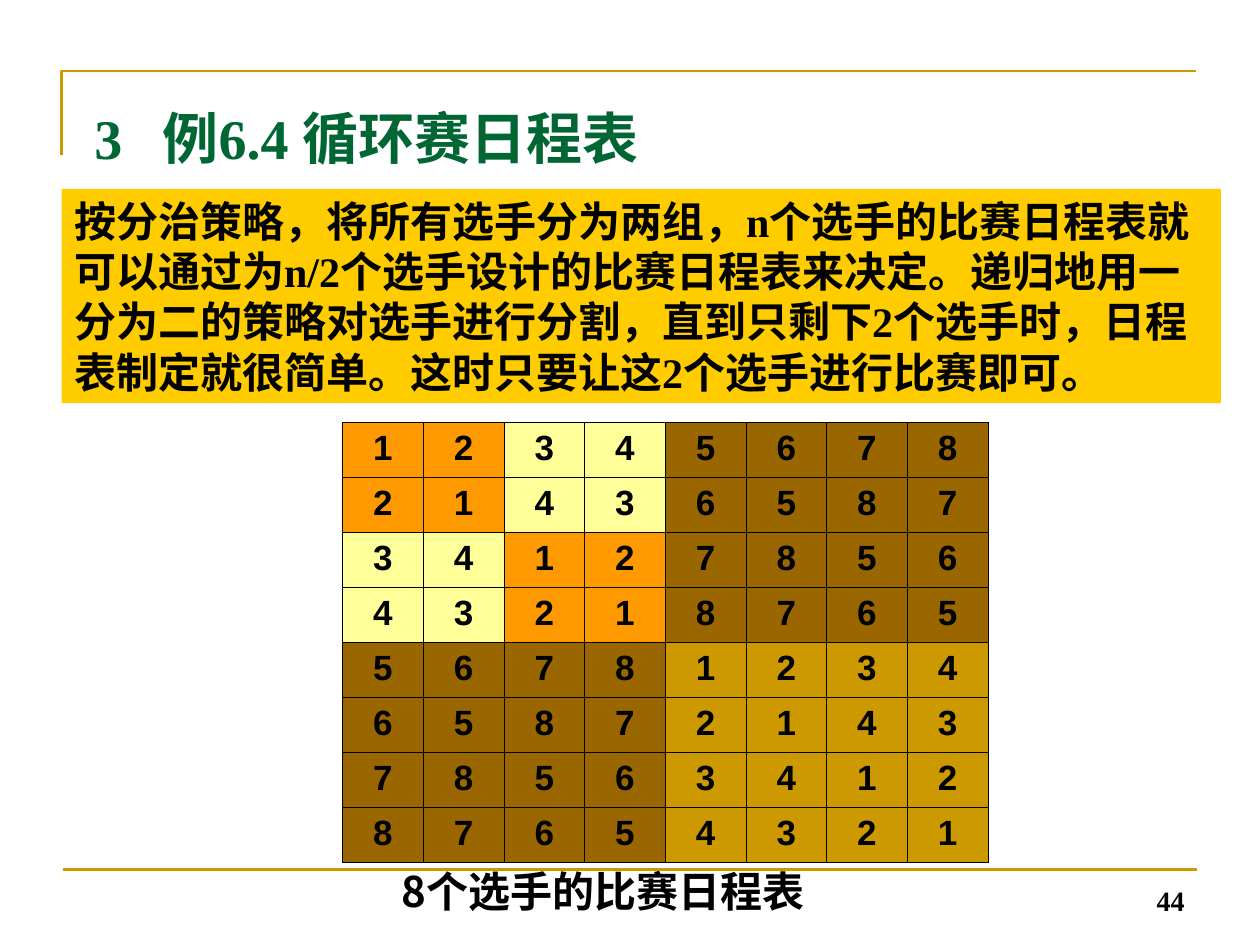
from dataclasses import dataclass

from lxml.etree import SubElement
from pptx import Presentation
from pptx.dml.color import RGBColor
from pptx.enum.shapes import MSO_CONNECTOR, MSO_SHAPE
from pptx.enum.text import MSO_ANCHOR, PP_ALIGN
from pptx.oxml.ns import qn
from pptx.util import Pt

SERIF, SANS, CHINESE = "Times New Roman", "Arial", "Noto Sans CJK SC"
BLACK, GREEN, GOLD, YELLOW = "000000", "006633", "CC9900", "FFCC00"
ORANGE, CREAM, BROWN = "FF9900", "FFFF99", "996600"
PLAYERS = 8
COLUMN_WIDTH, ROW_HEIGHT = 46.1, 31.43


@dataclass
class TextBlock:
    text: str
    left: float
    top: float
    width: float
    height: float
    size: float
    font: str = SERIF
    color: str = BLACK
    fill: str | None = None
    align: PP_ALIGN = PP_ALIGN.LEFT
    anchor: MSO_ANCHOR = MSO_ANCHOR.TOP
    tab: float | None = None


def rgb(value: str) -> RGBColor:
    return RGBColor.from_string(value)


def style_paragraph(paragraph, font: str, size: float, color: str, align: PP_ALIGN) -> None:
    paragraph.alignment = align
    paragraph.font.name = font
    paragraph.font.size = Pt(size)
    paragraph.font.bold = True
    paragraph.font.color.rgb = rgb(color)
    # East Asian characters take their own typeface
    for run in paragraph.runs:
        SubElement(run._r.get_or_add_rPr(), qn("a:ea"), typeface=CHINESE)


def add_text(slide, block: TextBlock) -> None:
    place = [Pt(value) for value in (block.left, block.top, block.width, block.height)]
    if block.fill:
        shape = slide.shapes.add_shape(MSO_SHAPE.RECTANGLE, *place)
        shape.shadow.inherit = False
        shape.fill.solid()
        shape.fill.fore_color.rgb = rgb(block.fill)
        shape.line.fill.background()
    else:
        shape = slide.shapes.add_textbox(*place)
    frame = shape.text_frame
    frame.word_wrap = True
    frame.vertical_anchor = block.anchor
    paragraph = frame.paragraphs[0]
    paragraph.text = block.text
    if block.tab:
        tabs = SubElement(paragraph._p.get_or_add_pPr(), qn("a:tabLst"))
        SubElement(tabs, qn("a:tab"), pos=str(Pt(block.tab)), algn="l")
    style_paragraph(paragraph, block.font, block.size, block.color, block.align)


def style_line(shape) -> None:
    shape.line.color.rgb = rgb(GOLD)
    shape.line.width = Pt(1.5)


def add_frame_lines(slide) -> None:
    # Corner at the top left
    builder = slide.shapes.build_freeform(Pt(35.3), Pt(88.5))
    builder.add_line_segments([(Pt(35.3), Pt(40.5)), (Pt(683.3), Pt(40.5))], close=False)
    corner = builder.convert_to_shape()
    corner.shadow.inherit = False
    corner.fill.background()
    style_line(corner)
    # Rule above the footer
    rule = slide.shapes.add_connector(
        MSO_CONNECTOR.STRAIGHT, Pt(36), Pt(496.8), Pt(684), Pt(496.8))
    style_line(rule)
    SubElement(rule._element.spPr, qn("a:effectLst"))


def cell_color(row: int, column: int) -> str:
    half, quarter = PLAYERS // 2, PLAYERS // 4
    if row // half != column // half:
        return BROWN
    if row >= half:
        return GOLD
    return ORANGE if row // quarter == column // quarter else CREAM


def add_borders(cell) -> None:
    properties = cell._tc.get_or_add_tcPr()
    for side in ("L", "R", "T", "B"):
        line = SubElement(properties, qn(f"a:ln{side}"), w=str(Pt(0.45)))
        SubElement(SubElement(line, qn("a:solidFill")), qn("a:srgbClr"), val=BLACK)


def add_schedule(slide, left: float, top: float) -> None:
    table = slide.shapes.add_table(
        PLAYERS, PLAYERS, Pt(left), Pt(top),
        Pt(COLUMN_WIDTH * PLAYERS), Pt(ROW_HEIGHT * PLAYERS)).table
    table.first_row = table.horz_banding = False
    for column in table.columns:
        column.width = Pt(COLUMN_WIDTH)
    for row_index, row in enumerate(table.rows):
        row.height = Pt(ROW_HEIGHT)
        for column_index, cell in enumerate(row.cells):
            add_borders(cell)
            cell.fill.solid()
            cell.fill.fore_color.rgb = rgb(cell_color(row_index, column_index))
            paragraph = cell.text_frame.paragraphs[0]
            # Swapping halves at every level is an exclusive or
            paragraph.text = str((row_index ^ column_index) + 1)
            style_paragraph(paragraph, SANS, 20, BLACK, PP_ALIGN.CENTER)


def main() -> None:
    presentation = Presentation()
    presentation.slide_width, presentation.slide_height = Pt(720), Pt(540)
    slide = presentation.slides.add_slide(presentation.slide_layouts[6])

    add_frame_lines(slide)

    # Explanation and schedule
    add_text(slide, TextBlock(
        "按分治策略，将所有选手分为两组，n个选手的比赛日程表就可以通过为n/2个选手设计的"
        "比赛日程表来决定。递归地用一分为二的策略对选手进行分割，直到只剩下2个选手时，"
        "日程表制定就很简单。这时只要让这2个选手进行比赛即可。",
        35.3, 108, 662.4, 122.4, 24, fill=YELLOW))
    add_schedule(slide, 195.8, 241.5)

    # Title, caption and page number
    add_text(slide, TextBlock(
        "3\t例6.4 循环赛日程表", 46.8, 55.4, 648, 90, 32, color=GREEN, tab=39))
    add_text(slide, TextBlock(
        "8个选手的比赛日程表", 222.5, 491, 303.8, 36, 24, font=CHINESE))
    add_text(slide, TextBlock(
        "44", 516.2, 491.8, 167.8, 36, 16,
        align=PP_ALIGN.RIGHT, anchor=MSO_ANCHOR.BOTTOM))

    presentation.save("out.pptx")


if __name__ == "__main__":
    main()
